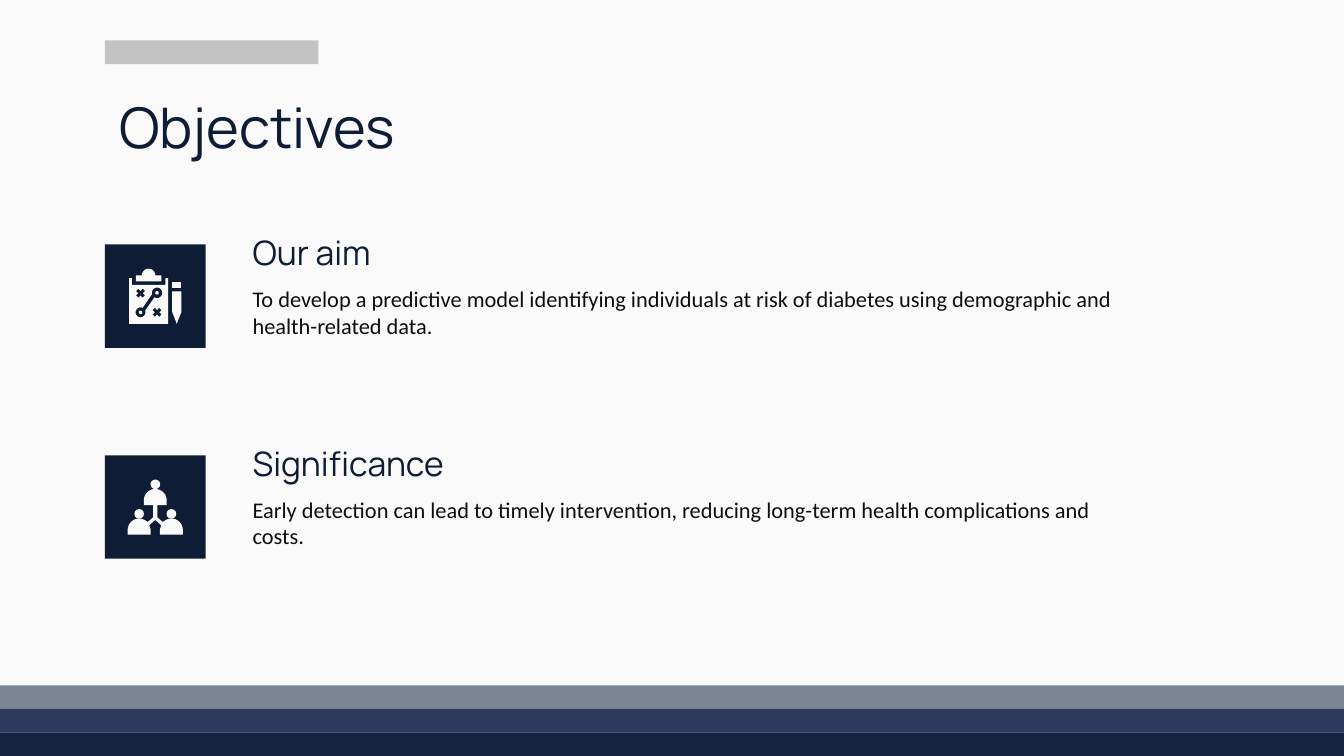
from dataclasses import dataclass
from math import cos, radians, sin

from pptx import Presentation
from pptx import util as u
from pptx.dml.color import RGBColor
from pptx.enum import shapes, text


@dataclass(frozen=True)
class Theme:
    paper: str = "FAFAFA"
    navy: str = "0E1D35"
    ink: str = "0E0E0E"
    accent: str = "C3C3C3"
    bands: tuple = ("7C8594", "2B3B5D", "15253F")
    head_font: str = "Manrope"
    body_font: str = "Calibri"
    title_size: float = 30
    head_size: float = 18
    body_size: float = 12
    icon_unit: float = 0.72


def arc(cx, cy, radius, start, end, steps=24):
    """Points along an arc; angles in degrees, clockwise from the right."""
    angles = [radians(start + (end - start) * i / steps) for i in range(steps + 1)]
    return [(cx + radius * cos(a), cy + radius * sin(a)) for a in angles]


def cross(cx, cy):
    arm = [(1.7, 0), (3.4, 1.6), (1.6, 3.4)]
    points = []
    for _ in range(4):
        points += [(cx + x, cy + y) for x, y in arm]
        arm = [(-y, x) for x, y in arm]
    return points


def rect(left, top, right, bottom):
    return [(left, top), (right, top), (right, bottom), (left, bottom)]


class Deck:
    def __init__(self, theme):
        self.t = theme
        self.prs = Presentation()
        self.prs.slide_width, self.prs.slide_height = u.Pt(720), u.Pt(405)
        self.s = self.prs.slides.add_slide(self.prs.slide_layouts[6])
        bg = self.s.background.fill
        bg.solid()
        bg.fore_color.rgb = RGBColor.from_string(theme.paper)

    def paint(self, sp, color):
        sp.shadow.inherit = False
        sp.fill.solid()
        sp.fill.fore_color.rgb = RGBColor.from_string(color)
        sp.line.fill.background()

    def shape(self, x, y, w, h, color, kind=shapes.MSO_SHAPE.RECTANGLE):
        sp = self.s.shapes.add_shape(kind, u.Pt(x), u.Pt(y), u.Pt(w), u.Pt(h))
        self.paint(sp, color)

    def text(self, x, y, w, h, words, size, font, color, anchor=text.MSO_ANCHOR.TOP):
        tf = self.s.shapes.add_textbox(u.Pt(x), u.Pt(y), u.Pt(w), u.Pt(h)).text_frame
        tf.word_wrap = True
        tf.vertical_anchor = anchor
        tf.margin_left = tf.margin_right = tf.margin_top = tf.margin_bottom = u.Pt(7.2)
        r = tf.paragraphs[0].add_run()
        r.text = words
        r.font.size, r.font.name = u.Pt(size), font
        r.font.color.rgb = RGBColor.from_string(color)

    def outline(self, x, y, *contours):
        """Filled outline in icon units from the tile corner; inner contours are holes."""
        unit = self.t.icon_unit
        builder = None
        for contour in contours:
            pts = [(u.Pt(x + px * unit), u.Pt(y + py * unit)) for px, py in contour]
            if builder is None:
                builder = self.s.shapes.build_freeform(*pts[0], scale=1.0)
            else:
                builder.move_to(*pts[0])
            builder.add_line_segments(pts[1:], close=True)
        self.paint(builder.convert_to_shape(), self.t.paper)

    def dot(self, x, y, cx, cy, radius):
        unit = self.t.icon_unit
        self.shape(x + (cx - radius) * unit, y + (cy - radius) * unit,
                   2 * radius * unit, 2 * radius * unit,
                   self.t.paper, shapes.MSO_SHAPE.OVAL)

    def plan_icon(self, x, y):
        upper, lower = (38.8, 36), (26.5, 50.5)
        board = [(18, 25), (18, 59), (47, 59), (47, 25),
                 (45, 25), (45, 30), (20, 30), (20, 25)]
        route = arc(*upper, 3.9, 165, 480) + arc(*lower, 3.7, -20, 295)
        clip = [(42, 23), (42, 27.5), (23, 27.5), (23, 23)]
        self.outline(x, y, board, cross(26.5, 36.3), cross(38.8, 50.5), route)
        for node in (upper, lower):
            self.dot(x, y, *node, 1.3)
        self.outline(x, y, clip + arc(32.5, 23, 5, 180, 360))
        self.outline(x, y, [(50, 35), (50, 50), (53.5, 59), (57, 50), (57, 35)])
        self.outline(x, y, rect(50, 28, 57, 32))

    def team_icon(self, x, y):
        mid = 37.5
        half = (arc(0, 33.5, 8.5, -90, 0)
                + [(8.5, 37), (1.5, 37), (1.5, 46), (5.5, 49.5)]
                + arc(12, 55.5, 8.5, -130, 0)
                + [(20.5, 59), (3.5, 59), (3.5, 55), (4.5, 52), (0, 48)])
        mirrored = [(-px, py) for px, py in reversed(half)]
        self.outline(x, y, [(mid + px, py) for px, py in half + mirrored])
        for dx, cy in ((0, 21.5), (-12, 43.5), (12, 43.5)):
            self.dot(x, y, mid + dx, cy, 3.6)

    def objective(self, y, heading, body, icon):
        t = self.t
        self.text(128.2, y - 5.8, 493.2, 28, heading, t.head_size, t.head_font,
                  t.navy, text.MSO_ANCHOR.BOTTOM)
        self.text(128.2, y + 14.4, 493.2, 55.4, body, t.body_size, t.body_font, t.ink)
        self.shape(56.2, y, 54, 55.4, t.navy)
        icon(56.2, y)


def main():
    t = Theme()
    deck = Deck(t)

    # Footer bands and accent bar
    for i, color in enumerate(t.bands):
        deck.shape(0, 367.2 + 12.6 * i, 720, 12.6, color)
    deck.shape(56.2, 21.6, 114.4, 12.8, t.accent)

    # Title
    deck.text(56.7, 42.5, 607, 45.4, "Objectives", t.title_size, t.head_font, t.navy)

    # Objectives
    rows = [
        ("Our aim", "To develop a predictive model identifying individuals at risk of "
         "diabetes using demographic and health-related data.", deck.plan_icon),
        ("Significance", "Early detection can lead to timely intervention, reducing "
         "long-term health complications and costs.", deck.team_icon),
    ]
    for i, (heading, body, icon) in enumerate(rows):
        deck.objective(131 + 113 * i, heading, body, icon)

    deck.prs.save("out.pptx")


if __name__ == "__main__":
    main()
